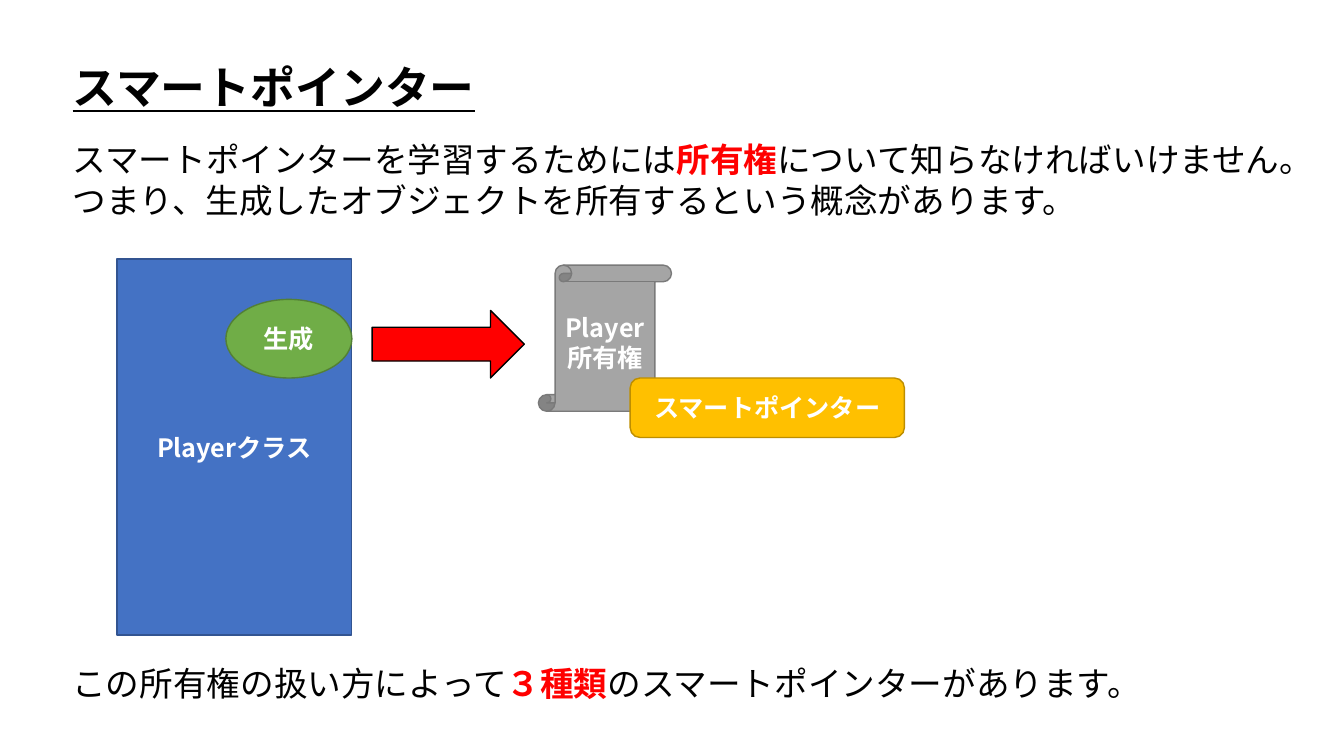
from dataclasses import dataclass

from lxml.etree import SubElement
from pptx import Presentation
from pptx.dml.color import RGBColor
from pptx.enum.shapes import MSO_SHAPE as Shape
from pptx.enum.text import MSO_ANCHOR as Anchor, MSO_AUTO_SIZE as AutoSize, PP_ALIGN as Align
from pptx.oxml.ns import qn
from pptx.util import Inches, Pt


@dataclass(frozen=True)
class Theme:
    font: str = "Noto Sans CJK JP"
    title_size: int = 32
    body_size: int = 24
    label_size: int = 18
    line_pitch: float = 1.2
    text: str = "000000"
    accent: str = "FF0000"
    label: str = "FFFFFF"
    player: tuple = ("4472C4", "325491")
    creation: tuple = ("70AD47", "538035")
    ownership: tuple = ("A5A5A5", "7A7A7A")
    arrow: tuple = ("FF0000", "000000")
    pointer: tuple = ("FFC000", "BD8E00")


THEME = Theme()


def place(shape, left, top, width, height):
    shape.left, shape.top = Inches(left), Inches(top)
    shape.width, shape.height = Inches(width), Inches(height)


def write(shape, lines, size, color=THEME.text, bold=False, underline=None,
          align=Align.LEFT, anchor=Anchor.TOP, wrap=False):
    """Fill a shape with lines, each a list of text pieces; (text,) marks an emphasised piece."""
    frame = shape.text_frame
    frame.auto_size = AutoSize.NONE
    frame.word_wrap, frame.vertical_anchor = wrap, anchor
    for index, pieces in enumerate(lines):
        paragraph = frame.add_paragraph() if index else frame.paragraphs[0]
        paragraph.alignment = align
        paragraph.line_spacing = Pt(size * THEME.line_pitch)
        paragraph.space_before = Pt(0)
        properties = paragraph._p.get_or_add_pPr()
        properties.set("marL", "0")
        properties.set("indent", "0")
        SubElement(properties, qn("a:buNone"))
        for piece in pieces:
            emphasised = isinstance(piece, tuple)
            run = paragraph.add_run()
            run.text = piece[0] if emphasised else piece
            font = run.font
            font.size, font.name = Pt(size), THEME.font
            font.bold, font.underline = bold or emphasised, underline
            font.color.rgb = RGBColor.from_string(THEME.accent if emphasised else color)
            SubElement(run._r.get_or_add_rPr(), qn("a:ea"), typeface=THEME.font)


def add_block(slide, kind, box, colors, label=None):
    shape = slide.shapes.add_shape(kind, *map(Inches, box))
    shape.shadow.inherit = False
    fill, line = colors
    shape.fill.solid()
    shape.fill.fore_color.rgb = RGBColor.from_string(fill)
    shape.line.color.rgb = RGBColor.from_string(line)
    shape.line.width = Pt(1)
    if label:
        write(shape, [[label]], THEME.label_size, THEME.label, bold=True,
              align=Align.CENTER, anchor=Anchor.MIDDLE, wrap=True)


def add_heading(slide, left, top, width, height):
    place(slide.shapes.title, left, top, width, height)
    write(slide.shapes.title, [["スマートポインター"]], THEME.title_size,
          bold=True, underline=True)


def add_introduction(slide, left, top, width, height):
    body = slide.placeholders[1]
    place(body, left, top, width, height)
    write(body, [
        ["スマートポインターを学習するためには", ("所有権",), "について知らなければいけません。"],
        ["つまり、生成したオブジェクトを所有するという概念があります。"],
    ], THEME.body_size)


def add_ownership_diagram(slide, left, top):
    blocks = [
        (Shape.RECTANGLE, (0, 0, 2.33, 3.73), THEME.player, "Playerクラス"),
        (Shape.OVAL, (1.08, 0.4, 1.25, 0.78), THEME.creation, "生成"),
        (Shape.VERTICAL_SCROLL, (4.18, 0.06, 1.32, 1.45), THEME.ownership, "Player所有権"),
        (Shape.RIGHT_ARROW, (2.53, 0.51, 1.51, 0.67), THEME.arrow, None),
        (Shape.FLOWCHART_ALTERNATE_PROCESS, (5.09, 1.18, 2.72, 0.59), THEME.pointer,
         "スマートポインター"),
    ]
    for kind, (x, y, width, height), colors, label in blocks:
        add_block(slide, kind, (left + x, top + y, width, height), colors, label)


def add_conclusion(slide, left, top, width, height):
    box = slide.shapes.add_textbox(*map(Inches, (left, top, width, height)))
    write(box, [["この所有権の扱い方によって", ("３種類",), "のスマートポインターがあります。"]],
          THEME.body_size)


def main():
    presentation = Presentation()
    presentation.slide_width, presentation.slide_height = Inches(13.33), Inches(7.5)
    slide = presentation.slides.add_slide(presentation.slide_layouts[1])
    add_heading(slide, 0.62, 0.54, 4.24, 0.64)
    add_introduction(slide, 0.62, 1.33, 12.66, 0.9)
    add_ownership_diagram(slide, 1.16, 2.57)
    add_conclusion(slide, 0.62, 6.53, 12.66, 0.5)
    presentation.save("out.pptx")


if __name__ == "__main__":
    main()
